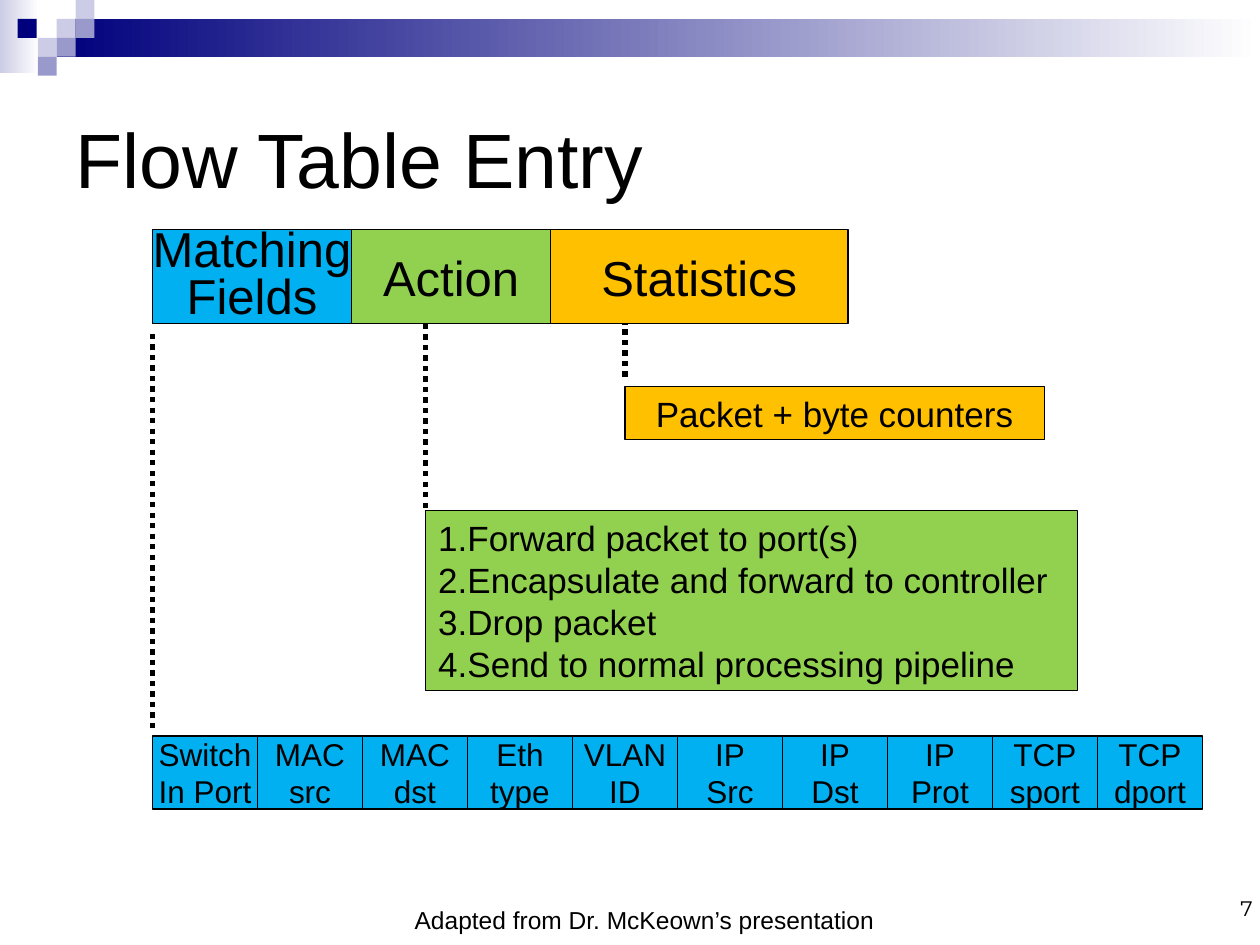
from lxml.etree import SubElement
from pptx import Presentation
from pptx.dml.color import RGBColor
from pptx.enum.dml import MSO_LINE
from pptx.enum.shapes import MSO_CONNECTOR, MSO_SHAPE
from pptx.enum.text import MSO_ANCHOR, PP_ALIGN
from pptx.oxml.ns import qn
from pptx.util import Inches, Pt

COLORS = {
    "navy": "00007D", "lavender": "CCCCE6", "violet": "9999CC",
    "white": "FFFFFF", "black": "000000",
    "match": "00B0F0", "action": "92D050", "stats": "FFC000",
}


def add_rect(left, top, width, height, color, fade=False, outlined=False):
    rect = slide.shapes.add_shape(MSO_SHAPE.RECTANGLE, Inches(left), Inches(top),
                                  Inches(width), Inches(height))
    rect.shadow.inherit = False
    if fade:
        rect.fill.gradient()
        rect.fill.gradient_angle = 0
        ends = (color, "white")
        for stop, position, end in zip(rect.fill.gradient_stops, (0, 1), ends):
            stop.position = position
            stop.color.rgb = RGBColor.from_string(COLORS[end])
    else:
        rect.fill.solid()
        rect.fill.fore_color.rgb = RGBColor.from_string(COLORS[color])
    if outlined:
        rect.line.color.rgb = RGBColor.from_string(COLORS["black"])
        rect.line.width = Pt(0.75)
    else:
        rect.line.fill.background()
    return rect


def write(shape, text, size, align=PP_ALIGN.CENTER, anchor=MSO_ANCHOR.MIDDLE,
          wrap=False, font="Arial"):
    frame = shape.text_frame
    frame.text = text
    frame.word_wrap = wrap
    frame.vertical_anchor = anchor
    for paragraph in frame.paragraphs:
        paragraph.alignment = align
        for run in paragraph.runs:
            run.font.size = Pt(size)
            run.font.name = font
            run.font.color.rgb = RGBColor.from_string(COLORS["black"])


prs = Presentation()
prs.slide_width, prs.slide_height = Inches(10), Inches(7.5)
slide = prs.slides.add_slide(prs.slide_layouts[6])

# Header band and checker squares
add_rect(0, 0, 0.31, 0.58, "lavender", fade=True)
add_rect(0.45, 0.15, 9.55, 0.3, "navy", fade=True)
for left, top, color in [
    (0.45, 0.15, "lavender"), (0.6, 0, "lavender"), (0.6, 0.15, "violet"),
    (0.3, 0.3, "lavender"), (0.14, 0.15, "navy"), (0.45, 0.3, "violet"),
    (0.3, 0.45, "violet"),
]:
    add_rect(left, top, 0.15, 0.15, color)

# Title, credit and page number
for text, left, top, width, height, size, align, anchor, font in [
    ("Flow Table Entry", 0.5, 0.5, 9, 1.5, 44,
     PP_ALIGN.LEFT, MSO_ANCHOR.MIDDLE, "Arial"),
    ("Adapted from Dr. McKeown’s presentation", 0.39, 7.13, 9.45, 0.34, 14,
     PP_ALIGN.CENTER, MSO_ANCHOR.TOP, "Arial"),
    ("7", 7.71, 7.1, 2.33, 0.26, 12,
     PP_ALIGN.RIGHT, MSO_ANCHOR.BOTTOM, "Montserrat"),
]:
    caption = slide.shapes.add_textbox(Inches(left), Inches(top),
                                       Inches(width), Inches(height))
    write(caption, text, size, align, anchor, wrap=True, font=font)

# Matching fields in one row
entry_left = 1.21
field_width = 0.8333
fields = ["Switch\nIn Port", "MAC\nsrc", "MAC\ndst", "Eth\ntype", "VLAN\nID",
          "IP\nSrc", "IP\nDst", "IP\nProt", "TCP\nsport", "TCP\ndport"]
for column, field in enumerate(fields):
    cell = add_rect(entry_left + column * field_width, 5.84, field_width, 0.58,
                    "match", outlined=True)
    write(cell, field, 18)

# Three parts of the flow entry
part_left = entry_left
for part, width, color in [("Matching\vFields", 1.58, "match"),
                           ("Action", 1.58, "action"),
                           ("Statistics", 2.36, "stats")]:
    entry_part = add_rect(part_left, 1.82, width, 0.75, color, outlined=True)
    write(entry_part, part, 28)
    if color == "match":
        heading = entry_part.text_frame.paragraphs[0]
        heading.line_spacing = 0.8
        heading.space_before = Pt(18)
    part_left += width

# Numbered actions
actions = add_rect(3.38, 4.05, 5.17, 1.43, "action", outlined=True)
write(actions, "Forward packet to port(s)\nEncapsulate and forward to controller\n"
      "Drop packet\nSend to normal processing pipeline", 20,
      PP_ALIGN.LEFT, MSO_ANCHOR.TOP)
for action in actions.text_frame.paragraphs:
    numbering = SubElement(action._p.get_or_add_pPr(), qn("a:buAutoNum"))
    numbering.set("type", "arabicPeriod")

# Counters
counters = add_rect(4.96, 3.07, 3.33, 0.42, "stats", outlined=True)
write(counters, "Packet + byte counters", 20)

# Dotted leaders from each part to its details
for x, start, end in [(entry_left, 2.65, 5.82), (3.38, 2.57, 4.07),
                      (4.96, 2.99, 2.57)]:
    leader = slide.shapes.add_connector(MSO_CONNECTOR.STRAIGHT, Inches(x),
                                        Inches(start), Inches(x), Inches(end))
    leader.line.color.rgb = RGBColor.from_string(COLORS["black"])
    leader.line.width = Pt(3)
    leader.line.dash_style = MSO_LINE.ROUND_DOT
    SubElement(leader._element.spPr, qn("a:effectLst"))

prs.save("out.pptx")
